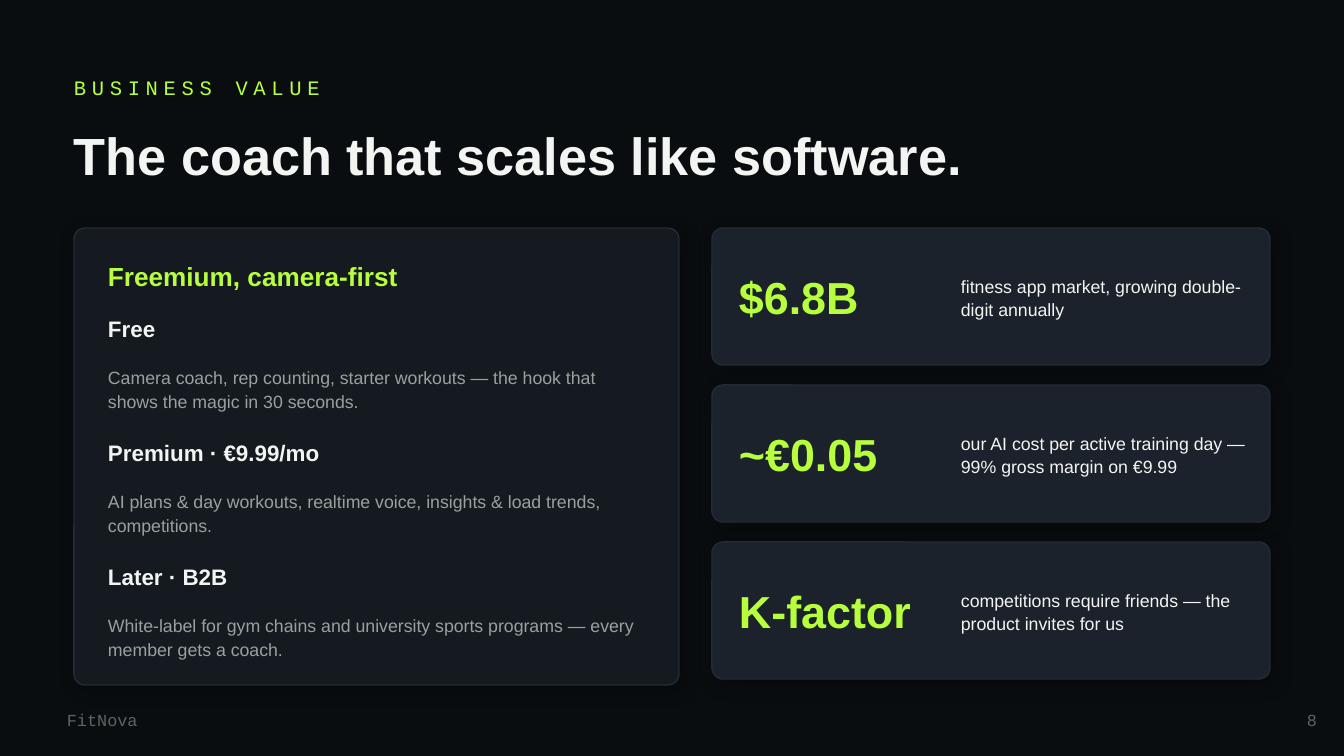
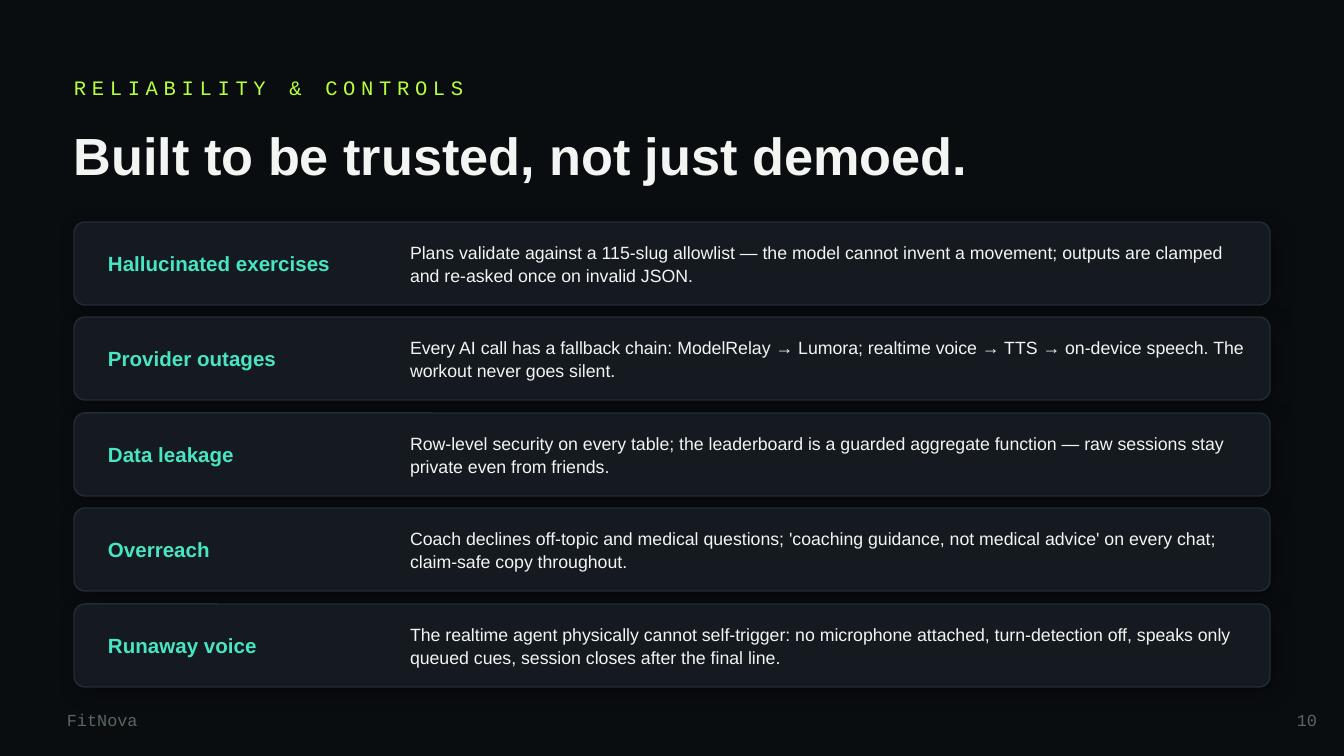
from pptx import Presentation
from pptx.dml.color import RGBColor
from pptx.enum.shapes import MSO_SHAPE
from pptx.enum.text import MSO_ANCHOR, PP_ALIGN
from pptx.oxml import parse_xml
from pptx.oxml.ns import nsdecls
from pptx.util import Emu, Pt

PX = 914400 / 134.4
BACKGROUND = RGBColor(0x0A, 0x0D, 0x10)
PANEL = RGBColor(0x15, 0x1A, 0x21)
PANEL_RAISED = RGBColor(0x1B, 0x22, 0x2B)
BORDER = RGBColor(0x23, 0x2B, 0x33)
LIME = RGBColor(0xB7, 0xFF, 0x3C)
MINT = RGBColor(0x48, 0xE5, 0xC2)
WHITE = RGBColor(0xF2, 0xF5, 0xF2)
GREY = RGBColor(0x97, 0xA2, 0x9D)
FOOTER = RGBColor(0x5A, 0x66, 0x60)
SANS = "Arial"
MONO = "Courier New"
CORNER = 11
SHADOW = (
    f'<a:effectLst {nsdecls("a")}>'
    '<a:outerShdw blurRad="127000" dist="38100" dir="2700000" algn="bl" rotWithShape="0">'
    '<a:srgbClr val="000000"><a:alpha val="35000"/></a:srgbClr>'
    '</a:outerShdw></a:effectLst>'
)


def add_text(slide, box, text, size, color, font=SANS, bold=False,
             leading=None, align=PP_ALIGN.LEFT, tracking=None):
    frame = slide.shapes.add_textbox(*[Emu(round(v * PX)) for v in box]).text_frame
    frame.word_wrap = True
    frame.vertical_anchor = MSO_ANCHOR.MIDDLE
    frame.margin_left = frame.margin_right = frame.margin_top = frame.margin_bottom = 0
    paragraph = frame.paragraphs[0]
    paragraph.alignment = align
    if leading:
        paragraph.line_spacing = Pt(leading)
    run = paragraph.add_run()
    run.text = text
    run.font.name = font
    run.font.size = Pt(size)
    run.font.bold = bold
    run.font.color.rgb = color
    if tracking:
        run.font._element.set("spc", str(tracking * 100))


def add_card(slide, box, fill):
    card = slide.shapes.add_shape(MSO_SHAPE.ROUNDED_RECTANGLE,
                                  *[Emu(round(v * PX)) for v in box])
    card.adjustments[0] = CORNER / min(box[2:])
    card.fill.solid()
    card.fill.fore_color.rgb = fill
    card.line.color.rgb = BORDER
    card.line.width = Pt(0.75)
    card._element.spPr.append(parse_xml(SHADOW))


prs = Presentation()
prs.slide_width = Emu(round(1344 * PX))
prs.slide_height = Emu(round(756 * PX))

headings = [
    ("BUSINESS VALUE", "The coach that scales like software.", "8"),
    ("RELIABILITY & CONTROLS", "Built to be trusted, not just demoed.", "10"),
]
slides = []
for kicker, title, number in headings:
    slide = prs.slides.add_slide(prs.slide_layouts[6])
    slide.background.fill.solid()
    slide.background.fill.fore_color.rgb = BACKGROUND
    add_text(slide, (74, 67, 538, 40), kicker, 11, LIME, MONO, tracking=3)
    add_text(slide, (74, 114, 1210, 81), title, 28, WHITE, bold=True)
    add_text(slide, (1270, 700, 47, 40), number, 9, FOOTER, MONO, align=PP_ALIGN.RIGHT)
    add_text(slide, (67, 700, 202, 40), "FitNova", 9, FOOTER, MONO)
    slides.append(slide)
business, reliability = slides

add_card(business, (74, 228, 605, 457), PANEL)
add_text(business, (108, 253, 538, 47), "Freemium, camera-first", 14, LIME, bold=True)
tiers = [
    ("Free", "Camera coach, rep counting, starter workouts — the hook that shows the magic in 30 seconds."),
    ("Premium · €9.99/mo", "AI plans & day workouts, realtime voice, insights & load trends, competitions."),
    ("Later · B2B", "White-label for gym chains and university sports programs — every member gets a coach."),
]
for i, (name, offer) in enumerate(tiers):
    top = 309 + i * 124
    add_text(business, (108, top, 524, 40), name, 12, WHITE, bold=True)
    add_text(business, (108, top + 39, 531, 81), offer, 9.5, GREY, leading=12.5)

stats = [
    ("$6.8B", "fitness app market, growing double-digit annually"),
    ("~€0.05", "our AI cost per active training day — 99% gross margin on €9.99"),
    ("K-factor", "competitions require friends — the product invites for us"),
]
for i, (figure, meaning) in enumerate(stats):
    top = 228 + i * 157
    add_card(business, (712, top, 558, 137), PANEL_RAISED)
    add_text(business, (739, top + 14, 215, 110), figure, 24, LIME, bold=True)
    add_text(business, (961, top + 14, 296, 110), meaning, 9.5, WHITE, leading=12.5)

controls = [
    ("Hallucinated exercises", "Plans validate against a 115-slug allowlist — the model cannot invent a movement; outputs are clamped and re-asked once on invalid JSON."),
    ("Provider outages", "Every AI call has a fallback chain: ModelRelay → Lumora; realtime voice → TTS → on-device speech. The workout never goes silent."),
    ("Data leakage", "Row-level security on every table; the leaderboard is a guarded aggregate function — raw sessions stay private even from friends."),
    ("Overreach", "Coach declines off-topic and medical questions; 'coaching guidance, not medical advice' on every chat; claim-safe copy throughout."),
    ("Runaway voice", "The realtime agent physically cannot self-trigger: no microphone attached, turn-detection off, speaks only queued cues, session closes after the final line."),
]
first_top, last_top = 222, 604
for i, (risk, control) in enumerate(controls):
    top = first_top + (last_top - first_top) * i // (len(controls) - 1)
    add_card(reliability, (74, top, 1196, 83), PANEL)
    add_text(reliability, (108, top + 8, 289, 67), risk, 11, MINT, bold=True)
    add_text(reliability, (410, top + 8, 840, 67), control, 9.5, WHITE, leading=12)

prs.save("out.pptx")
